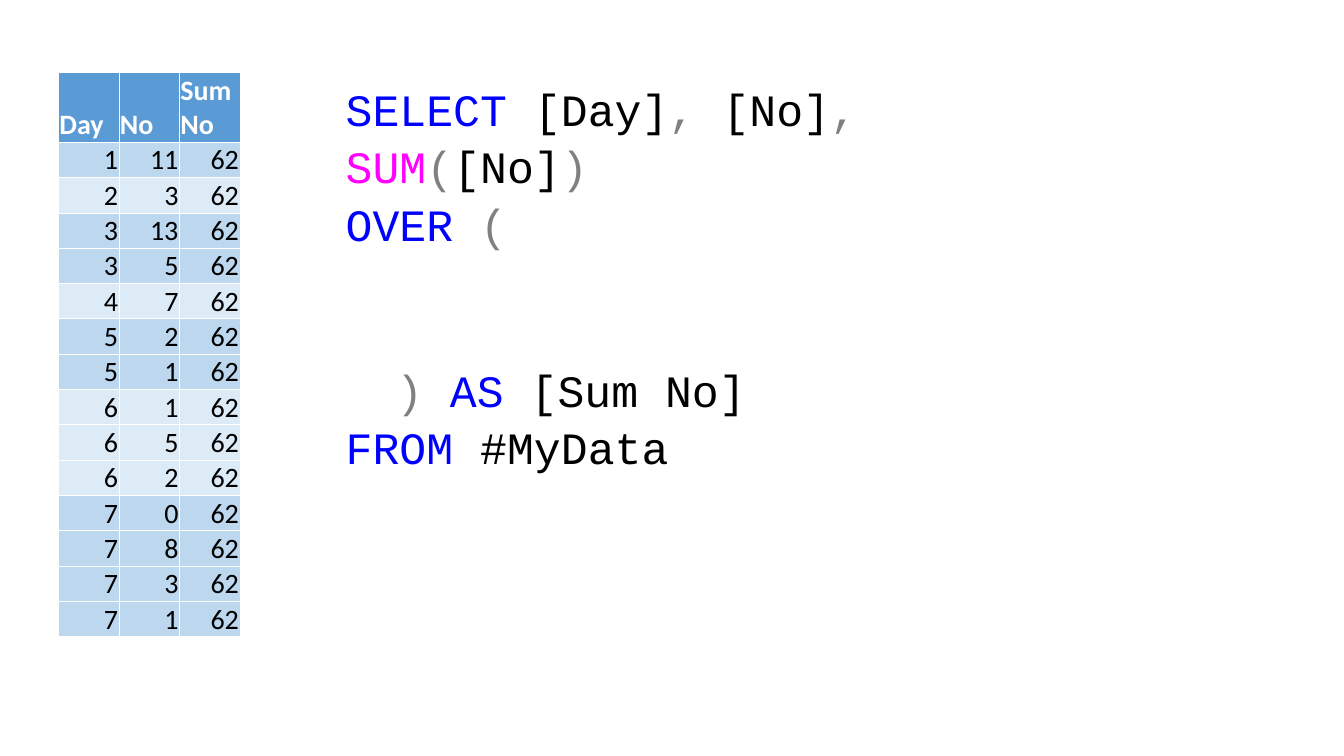
from dataclasses import dataclass

from lxml.etree import SubElement
from pptx import Presentation
from pptx.dml.color import RGBColor
from pptx.enum.text import MSO_ANCHOR, MSO_AUTO_SIZE, PP_ALIGN
from pptx.oxml.ns import qn
from pptx.slide import Slide
from pptx.table import _Cell
from pptx.text.text import _Run
from pptx.util import Inches, Pt

WHITE = RGBColor(0xFF, 0xFF, 0xFF)
BLACK = RGBColor(0x00, 0x00, 0x00)
HEADER_BLUE = RGBColor(0x5B, 0x9B, 0xD5)
ODD_DAY_BLUE = RGBColor(0xBD, 0xD7, 0xEE)
EVEN_DAY_BLUE = RGBColor(0xDD, 0xEB, 0xF7)
KEYWORD = RGBColor(0x00, 0x00, 0xFF)
FUNCTION = RGBColor(0xFF, 0x00, 0xFF)
PUNCTUATION = RGBColor(0x80, 0x80, 0x80)

CODE_SIZE = 32
CODE_LINE_HEIGHT = 38.8


@dataclass(frozen=True)
class Token:
    text: str
    color: RGBColor = BLACK


@dataclass(frozen=True)
class CodeLine:
    tokens: tuple[Token, ...]
    lines_skipped: int = 0


@dataclass(frozen=True)
class DayEntry:
    day: int
    number: int


ENTRIES = [
    DayEntry(day, number)
    for day, number in (
        (1, 11), (2, 3), (3, 13), (3, 5), (4, 7), (5, 2), (5, 1),
        (6, 1), (6, 5), (6, 2), (7, 0), (7, 8), (7, 3), (7, 1),
    )
]

QUERY = [
    CodeLine((Token("SELECT", KEYWORD), Token(" [Day]"), Token(",", PUNCTUATION),
              Token(" [No]"), Token(",", PUNCTUATION))),
    CodeLine((Token("SUM", FUNCTION), Token("(", PUNCTUATION),
              Token("[No]"), Token(")", PUNCTUATION))),
    CodeLine((Token("OVER ", KEYWORD), Token("(", PUNCTUATION))),
    CodeLine((Token("\t) ", PUNCTUATION), Token("AS", KEYWORD),
              Token(" [Sum No]")), lines_skipped=2),
    CodeLine((Token("FROM", KEYWORD), Token(" #MyData"))),
]


def format_run(run: _Run, name: str, size: float, color: RGBColor, bold: bool = False) -> None:
    for attribute, value in {"name": name, "size": Pt(size), "bold": bold}.items():
        setattr(run.font, attribute, value)
    run.font.color.rgb = color


def add_white_borders(cell: _Cell) -> None:
    """Put thin border lines ahead of the fill, as the schema requires."""
    properties = cell._tc.get_or_add_tcPr()
    for position, side in enumerate(("a:lnL", "a:lnR", "a:lnT", "a:lnB")):
        line = SubElement(properties, qn(side), w=str(Pt(0.5)))
        fill = SubElement(line, qn("a:solidFill"))
        SubElement(fill, qn("a:srgbClr"), val=str(WHITE))
        properties.insert(position, line)


def fill_cell(cell: _Cell, text: str, fill: RGBColor, is_header: bool) -> None:
    layout = {
        "margin_left": Inches(0.01),
        "margin_right": Inches(0.01),
        "margin_top": Inches(0.01),
        "margin_bottom": Inches(0),
        "vertical_anchor": MSO_ANCHOR.BOTTOM,
    }
    for attribute, value in layout.items():
        setattr(cell, attribute, value)
    cell.fill.solid()
    cell.fill.fore_color.rgb = fill
    add_white_borders(cell)
    paragraph = cell.text_frame.paragraphs[0]
    paragraph.text = text
    paragraph.alignment = PP_ALIGN.LEFT if is_header else PP_ALIGN.RIGHT
    for run in paragraph.runs:
        format_run(run, "Calibri", 20, WHITE if is_header else BLACK, bold=is_header)


def add_day_table(slide: Slide) -> None:
    total = sum(entry.number for entry in ENTRIES)
    rows = [(("Day", "No", "Sum\vNo"), HEADER_BLUE)]
    for entry in ENTRIES:
        fill = ODD_DAY_BLUE if entry.day % 2 else EVEN_DAY_BLUE
        rows.append(((str(entry.day), str(entry.number), str(total)), fill))

    table = slide.shapes.add_table(
        len(rows), 3, Inches(0.58), Inches(0.72), Inches(1.8), Inches(5.44)
    ).table
    for column in table.columns:
        column.width = Inches(0.6)
    for row_index, (texts, fill) in enumerate(rows):
        is_header = row_index == 0
        table.rows[row_index].height = Inches(0.68 if is_header else 0.34)
        for column_index, text in enumerate(texts):
            fill_cell(table.cell(row_index, column_index), text, fill, is_header)


def add_query(slide: Slide) -> None:
    box = slide.shapes.add_textbox(Inches(3.33), Inches(0.72), Inches(6.67), Inches(3.87))
    frame = box.text_frame
    frame.word_wrap = True
    frame.auto_size = MSO_AUTO_SIZE.SHAPE_TO_FIT_TEXT
    for index, code_line in enumerate(QUERY):
        paragraph = frame.add_paragraph() if index else frame.paragraphs[0]
        paragraph.line_spacing = 1.07
        if code_line.lines_skipped:
            paragraph.space_before = Pt(code_line.lines_skipped * CODE_LINE_HEIGHT)
        for token in code_line.tokens:
            run = paragraph.add_run()
            run.text = token.text
            format_run(run, "Courier New", CODE_SIZE, token.color)


def main() -> None:
    presentation = Presentation()
    presentation.slide_width = Inches(13.33)
    presentation.slide_height = Inches(7.5)
    slide = presentation.slides.add_slide(presentation.slide_layouts[6])
    add_day_table(slide)
    add_query(slide)
    presentation.save("out.pptx")


if __name__ == "__main__":
    main()
